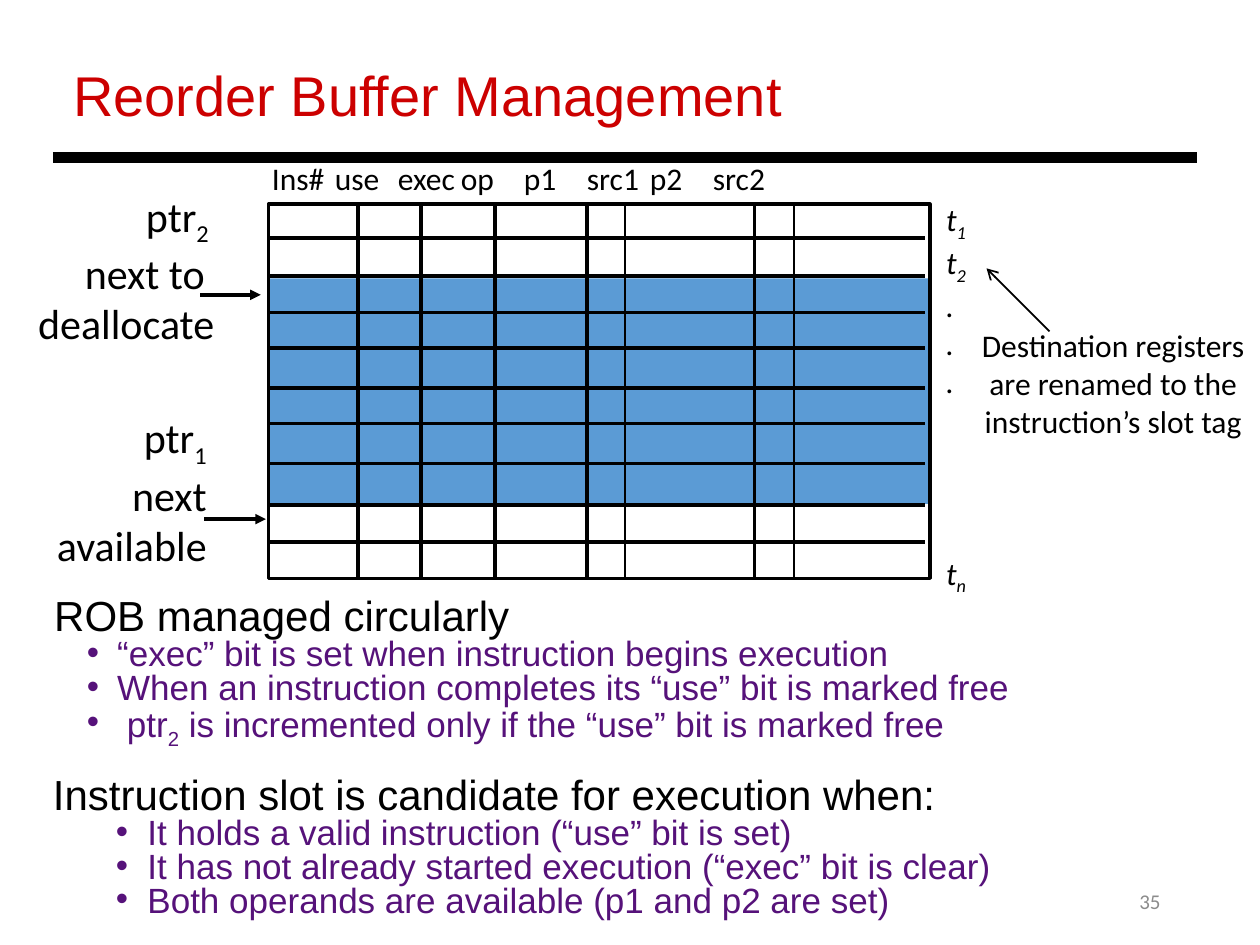
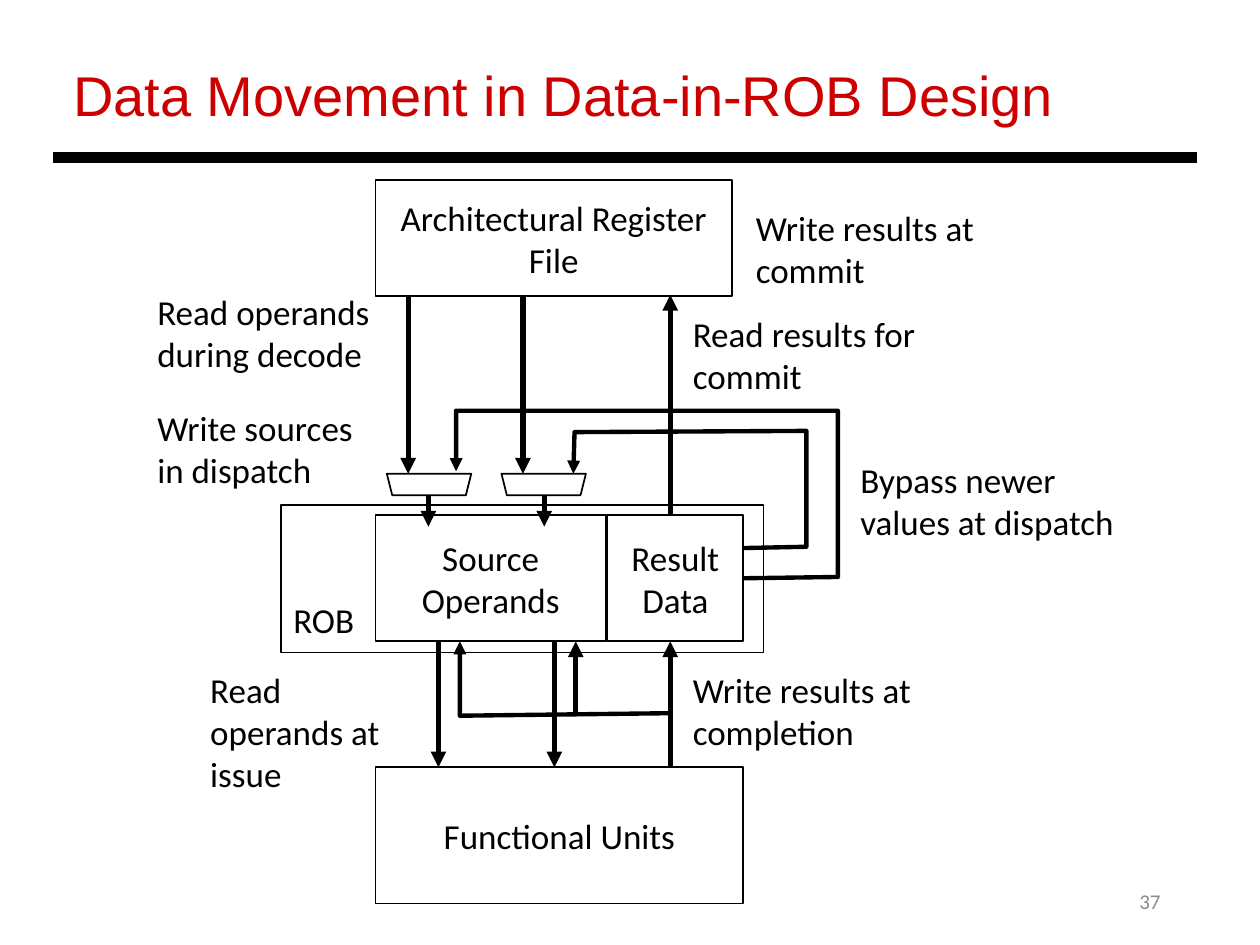
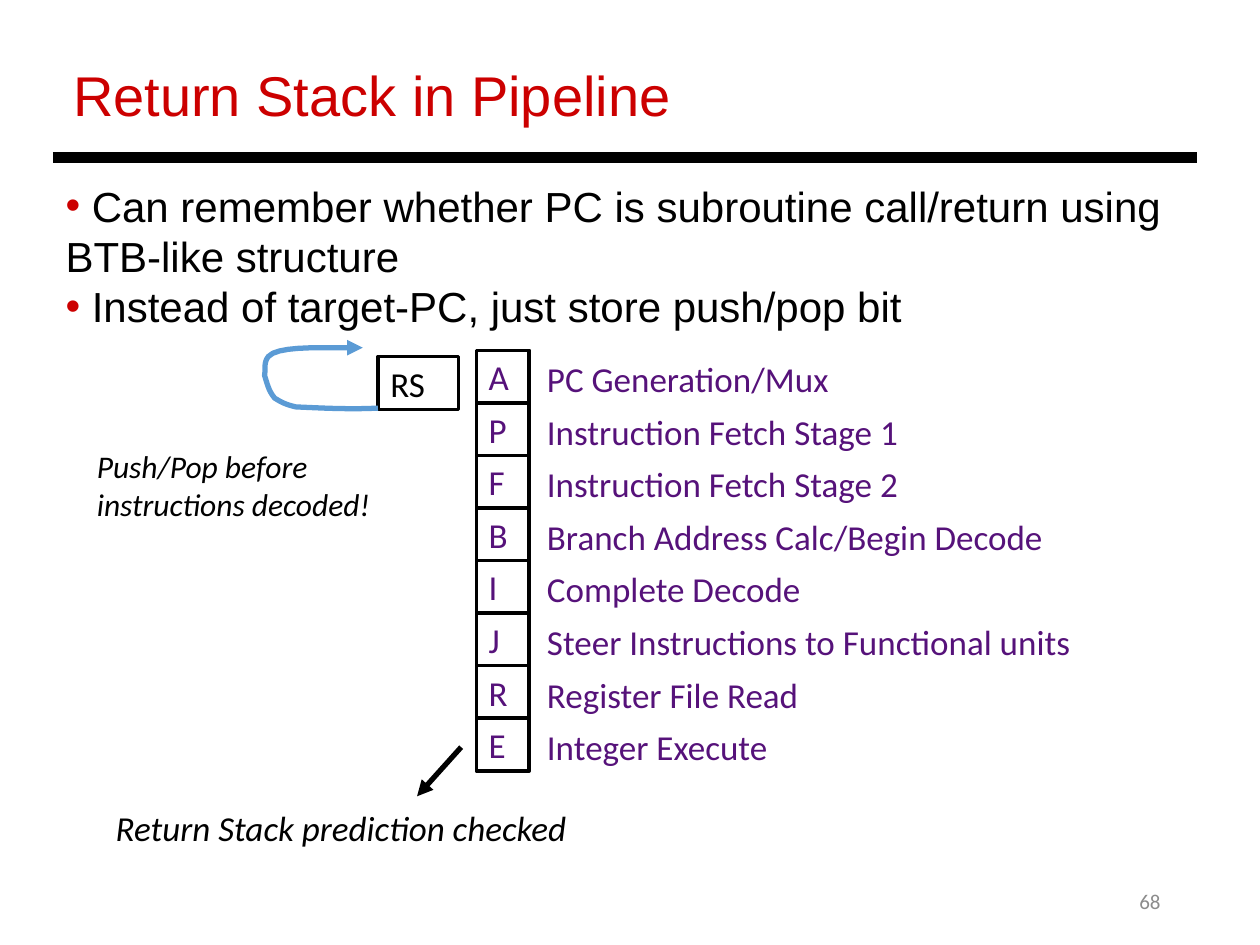
from dataclasses import dataclass
from lxml import etree
from pptx import Presentation
from pptx.dml.color import RGBColor
from pptx.enum.shapes import MSO_CONNECTOR, MSO_SHAPE
from pptx.enum.text import MSO_ANCHOR, MSO_AUTO_SIZE, PP_ALIGN
from pptx.oxml.ns import qn
from pptx.util import Inches, Pt

STRAIGHT = MSO_CONNECTOR.STRAIGHT
RECTANGLE, TRAPEZOID = MSO_SHAPE.RECTANGLE, MSO_SHAPE.TRAPEZOID
TOP, MIDDLE, BOTTOM = MSO_ANCHOR.TOP, MSO_ANCHOR.MIDDLE, MSO_ANCHOR.BOTTOM
LEFT, CENTER, RIGHT = PP_ALIGN.LEFT, PP_ALIGN.CENTER, PP_ALIGN.RIGHT
GROW, FIXED = MSO_AUTO_SIZE.SHAPE_TO_FIT_TEXT, MSO_AUTO_SIZE.NONE
ONE_LIST, TWO_LISTS, TITLE_ONLY = 1, 3, 5


@dataclass(frozen=True)
class Theme:
    ink: str = "000000"
    paper: str = "FFFFFF"
    red: str = "CC0000"
    purple: str = "56127A"
    blue: str = "5B9BD5"
    gray: str = "8C8C8C"
    heading_font: str = "Arial"
    label_font: str = "Calibri"
    title_size: int = 32
    heading_size: int = 24
    label_size: int = 20
    note_size: int = 18
    number_size: int = 12


THEME = Theme()


def add_xml(parent, tag, **attributes):
    return etree.SubElement(parent, qn(tag), attributes)


def write_paragraph(frame, text, *, size=THEME.label_size, font=THEME.label_font,
                    color=THEME.ink, italic=False, align=LEFT, spacing=None, before=0,
                    level=0, margin=0, indent=0, bullet=None, bullet_color=None, tabs=()):
    """Text between vertical bars is set as a subscript."""
    first = frame.paragraphs[0]
    para = frame.add_paragraph() if first.runs else first
    para.alignment, para.level = align, level
    para.space_before = Pt(before)
    if spacing:
        para.line_spacing = spacing
    properties = para._p.get_or_add_pPr()
    properties.set("marL", str(Inches(margin)))
    properties.set("indent", str(Inches(indent)))
    if bullet_color:
        add_xml(add_xml(properties, "a:buClr"), "a:srgbClr", val=bullet_color)
    if bullet:
        add_xml(properties, "a:buChar", char=bullet)
    else:
        add_xml(properties, "a:buNone")
    if tabs:
        stops = add_xml(properties, "a:tabLst")
        for position in tabs:
            add_xml(stops, "a:tab", pos=str(Inches(position)), algn="l")
    for index, part in enumerate(text.split("|")):
        if part:
            span = para.add_run()
            span.text = part
            span.font.size, span.font.name, span.font.italic = Pt(size), font, italic
            span.font.color.rgb = RGBColor.from_string(color)
            if index % 2:
                span.font._element.set("baseline", "-25000")


def curve_points(start, segments, steps=8):
    points = [start]
    for first, second, end in segments:
        for step in range(1, steps + 1):
            t = step / steps
            weights = ((1 - t) ** 3, 3 * t * (1 - t) ** 2, 3 * t * t * (1 - t), t ** 3)
            corners = (start, first, second, end)
            points.append(tuple(sum(w * c[axis] for w, c in zip(weights, corners))
                                for axis in (0, 1)))
        start = end
    return points


class Deck:
    def __init__(self, theme):
        self.theme = theme
        self.deck = Presentation()
        self.deck.slide_width, self.deck.slide_height = Inches(10), Inches(7.5)
        self.page = None

    def new_page(self, layout, title, number):
        self.page = self.deck.slides.add_slide(self.deck.slide_layouts[layout])
        frame = self.place(self.page.shapes.title, 0.48, 0.43, 8.78, 0.64)
        write_paragraph(frame, title, size=self.theme.title_size,
                        font=self.theme.heading_font, color=self.theme.red)
        self.line((0.42, 1.25), (9.5, 1.25), 6)
        self.text(7.06, 6.95, 2.25, 0.4, [str(number)], size=self.theme.number_size,
                  color=self.theme.gray, align=RIGHT, anchor=MIDDLE, fit=FIXED)

    def place(self, box, left, top, width, height, wrap=True, anchor=TOP, fit=GROW):
        box.left, box.top = Inches(left), Inches(top)
        box.width, box.height = Inches(width), Inches(height)
        frame = box.text_frame
        frame.word_wrap, frame.auto_size, frame.vertical_anchor = wrap, fit, anchor
        return frame

    def body(self, index, left, top, width, height, wrap=True):
        return self.place(self.page.placeholders[index], left, top, width, height, wrap)

    def headed_list(self, index, area, heading, items, margin, indent):
        frame = self.body(index, *area, wrap=False)
        font = self.theme.heading_font
        write_paragraph(frame, heading, size=self.theme.heading_size, font=font, spacing=0.8)
        for item in items:
            write_paragraph(frame, item, font=font, color=self.theme.purple, spacing=0.8,
                            level=1, margin=margin, indent=indent, bullet="•")

    def text(self, left, top, width, height, paragraphs, wrap=True, anchor=TOP, fit=GROW,
             **style):
        box = self.page.shapes.add_textbox(0, 0, 0, 0)
        frame = self.place(box, left, top, width, height, wrap, anchor, fit)
        for paragraph in paragraphs:
            write_paragraph(frame, paragraph, **style)
        return frame

    def stroke(self, item, color, width, head=None):
        item.line.color.rgb = RGBColor.from_string(color)
        item.line.width = Pt(width)
        if head:
            add_xml(item.line._get_or_add_ln(), "a:tailEnd", type=head)

    def line(self, start, end, width, head=None):
        connector = self.page.shapes.add_connector(
            STRAIGHT, *(Inches(value) for value in (*start, *end)))
        self.stroke(connector, self.theme.ink, width, head)
        add_xml(connector._element.spPr, "a:effectLst")

    def arrow(self, start, end, width=3, head="triangle"):
        self.line(start, end, width, head)

    def shape(self, left, top, width, height, text="", fill=THEME.paper, outline=1,
              inset=0, anchor=MIDDLE, kind=RECTANGLE, **style):
        box = self.page.shapes.add_shape(
            kind, *(Inches(value) for value in (left, top, width, height)))
        box.shadow.inherit = False
        if fill:
            box.fill.solid()
            box.fill.fore_color.rgb = RGBColor.from_string(fill)
        else:
            box.fill.background()
        if outline:
            self.stroke(box, self.theme.ink, outline)
        else:
            box.line.fill.background()
        if text:
            frame = box.text_frame
            frame.word_wrap, frame.vertical_anchor = True, anchor
            frame.margin_left = frame.margin_right = Inches(inset)
            frame.margin_top = frame.margin_bottom = Inches(inset)
            write_paragraph(frame, text, **{"align": CENTER, **style})
        return box

    def route(self, points, color=THEME.ink, width=2.5):
        start, *rest = [(Inches(x), Inches(y)) for x, y in points]
        builder = self.page.shapes.build_freeform(*start)
        builder.add_line_segments(rest, close=False)
        outline = builder.convert_to_shape()
        outline.shadow.inherit = False
        outline.fill.background()
        self.stroke(outline, color, width, "triangle")


def reorder_buffer(deck):
    theme = deck.theme
    deck.new_page(TWO_LISTS, "Reorder Buffer Management", 35)
    deck.headed_list(
        2, (0.32, 6.13, 7.7, 1.23), "Instruction slot is candidate for execution when:",
        ["It holds a valid instruction (“use” bit is set)",
         "It has not already started execution (“exec” bit is clear)",
         "Both operands are available (p1 and p2 are set)"], 0.75, -0.25)
    tags = deck.text(7.41, 1.54, 0.42, 3.43, ["t|1|", "t|2|", ".", ".", "."],
                     wrap=False, size=theme.note_size, italic=True)
    write_paragraph(tags, "t|n|", size=theme.note_size, italic=True, before=88)

    deck.shape(2.13, 2.21, 5.24, 1.79, fill=theme.blue, outline=0)
    deck.arrow((1.59, 2.34), (2.07, 2.34), 2)
    deck.arrow((1.62, 4.12), (2.11, 4.12), 2)
    pointer = {"wrap": False, "align": RIGHT, "size": theme.heading_size}
    deck.text(0.17, 1.46, 1.63, 1.31, ["ptr|2 |", "next to ", "deallocate"], **pointer)
    deck.text(0.01, 3.22, 1.73, 1.31, ["ptr|1|", "next", "available"], **pointer)
    deck.text(2.06, 1.21, 5.13, 0.4, ["Ins#\tuse\texec\top\tp1\tsrc1\tp2\tsrc2"],
              size=theme.note_size, tabs=(0.7, 1.22, 2.01, 2.56, 3.1, 3.86, 4.44))

    columns = {2.84: 2, 3.34: 2, 3.93: 2, 4.66: 2, 4.96: 1, 5.99: 2, 6.3: 1}
    for x, width in columns.items():
        deck.line((x, 1.63), (x, 4.59), width)
    for y in (1.89, 2.19, 2.48, 2.76, 3.08, 3.36, 3.68, 4.01, 4.3):
        deck.line((2.14, y), (7.34, y), 2)
    deck.shape(2.13, 1.62, 5.25, 2.97, fill=None, outline=2)

    deck.text(7.67, 2.54, 2.33, 1.01,
              ["Destination registers are renamed to the instruction’s slot tag"],
              size=theme.note_size, align=CENTER)
    deck.arrow((8.33, 2.63), (7.83, 2.13), 1, "arrow")
    deck.headed_list(
        1, (0.33, 4.71, 7.93, 1.23), "ROB managed circularly",
        ["“exec” bit is set when instruction begins execution",
         "When an instruction completes its “use” bit is marked free",
         " ptr|2| is incremented only if the “use” bit is marked free"], 0.5, -0.24)


def data_movement(deck):
    deck.new_page(TITLE_ONLY, "Data Movement in Data-in-ROB Design", 37)
    deck.shape(2.23, 4.01, 3.83, 1.17, "ROB", inset=0.1, anchor=BOTTOM, align=LEFT)
    deck.shape(2.98, 1.43, 2.83, 0.92, "Architectural Register File")
    deck.shape(2.98, 6.09, 2.92, 1.08, "Functional Units")
    deck.shape(4.82, 4.09, 1.08, 1, "Result Data")
    deck.shape(2.98, 4.09, 1.83, 1, "Source Operands")

    for left in (3.07, 3.98):
        deck.shape(left, 3.76, 0.67, 0.17, kind=TRAPEZOID).rotation = 180
    for x, top, bottom in ((3.24, 2.34, 3.76), (4.15, 2.34, 3.76),
                           (3.4, 3.93, 4.18), (4.32, 3.93, 4.18),
                           (3.48, 5.09, 6.09), (4.4, 5.09, 6.09),
                           (5.32, 4.09, 2.34), (5.32, 6.09, 5.09), (4.57, 5.68, 5.09)):
        deck.arrow((x, top), (x, bottom))
    deck.route([(5.9, 4.35), (6.4, 4.34), (6.4, 3.42), (4.56, 3.43), (4.55, 3.76)])
    deck.route([(5.9, 4.59), (6.65, 4.58), (6.65, 3.26), (3.62, 3.26), (3.62, 3.74)])
    deck.route([(5.32, 5.66), (3.65, 5.68), (3.65, 5.09)])

    for left, top, width, height, label in (
            (1.15, 2.26, 2.25, 0.77, "Read operands during decode"),
            (1.15, 3.18, 2, 0.77, "Write sources in dispatch"),
            (1.57, 5.26, 1.83, 1.11, "Read operands at issue"),
            (5.4, 2.43, 2.08, 0.77, "Read results for commit"),
            (5.4, 5.26, 2, 0.77, "Write results at completion"),
            (5.9, 1.59, 2.33, 0.77, "Write results at commit"),
            (6.73, 3.59, 2.25, 0.77, "Bypass newer values at dispatch")):
        deck.text(left, top, width, height, [label])


def return_stack(deck):
    theme = deck.theme
    deck.new_page(ONE_LIST, "Return Stack in Pipeline", 68)
    frame = deck.body(1, 0.42, 1.38, 9.28, 1.31)
    for item in (" Can remember whether PC is subroutine call/return using BTB-like structure",
                 " Instead of target-PC, just store push/pop bit"):
        write_paragraph(frame, item, size=theme.heading_size, font=theme.heading_font,
                        bullet="•", bullet_color=theme.red)

    stages = (("A", "PC Generation/Mux", 2.53),
              ("P", "Instruction Fetch Stage 1", 3.09),
              ("F", "Instruction Fetch Stage 2", 3.09),
              ("B", "Branch Address Calc/Begin Decode", 4.24),
              ("I", "Complete Decode", 2.3),
              ("J", "Steer Instructions to Functional units", 4.46),
              ("R", "Register File Read", 2.29),
              ("E", "Integer Execute", 2.05))
    for index, (letter, meaning, width) in enumerate(stages):
        top = 2.78 + 2.92 * index / (len(stages) - 1)
        deck.shape(3.78, top, 0.42, 0.42, letter, outline=2, inset=0.1, align=LEFT,
                   color=theme.purple)
        deck.text(4.18, top + 0.01, width, 0.44, [" " + meaning], wrap=False,
                  color=theme.purple)

    deck.shape(3, 2.83, 0.64, 0.42, "RS", outline=2, inset=0.1, align=LEFT)
    loop = curve_points((3, 3.24), [
        ((2.78, 3.25), (2.57, 3.24), (2.35, 3.23)),
        ((2.26, 3.21), (2.23, 3.19), (2.18, 3.16)),
        ((2.13, 3.1), (2.12, 3.04), (2.1, 2.98)),
        ((2.11, 2.93), (2.09, 2.88), (2.13, 2.83)),
        ((2.2, 2.75), (2.49, 2.76), (2.74, 2.76))])
    deck.route(loop + [(2.88, 2.76)], color=theme.blue, width=3)
    deck.text(0.67, 3.5, 2.58, 0.71, ["Push/Pop before instructions decoded!"],
              size=theme.note_size, italic=True)
    deck.text(0.82, 6.35, 3.89, 0.44, ["Return Stack prediction checked"], wrap=False,
              italic=True)
    deck.arrow((3.66, 5.93), (3.31, 6.32))


def main():
    deck = Deck(THEME)
    for build_page in (reorder_buffer, data_movement, return_stack):
        build_page(deck)
    deck.deck.save("out.pptx")


if __name__ == "__main__":
    main()
